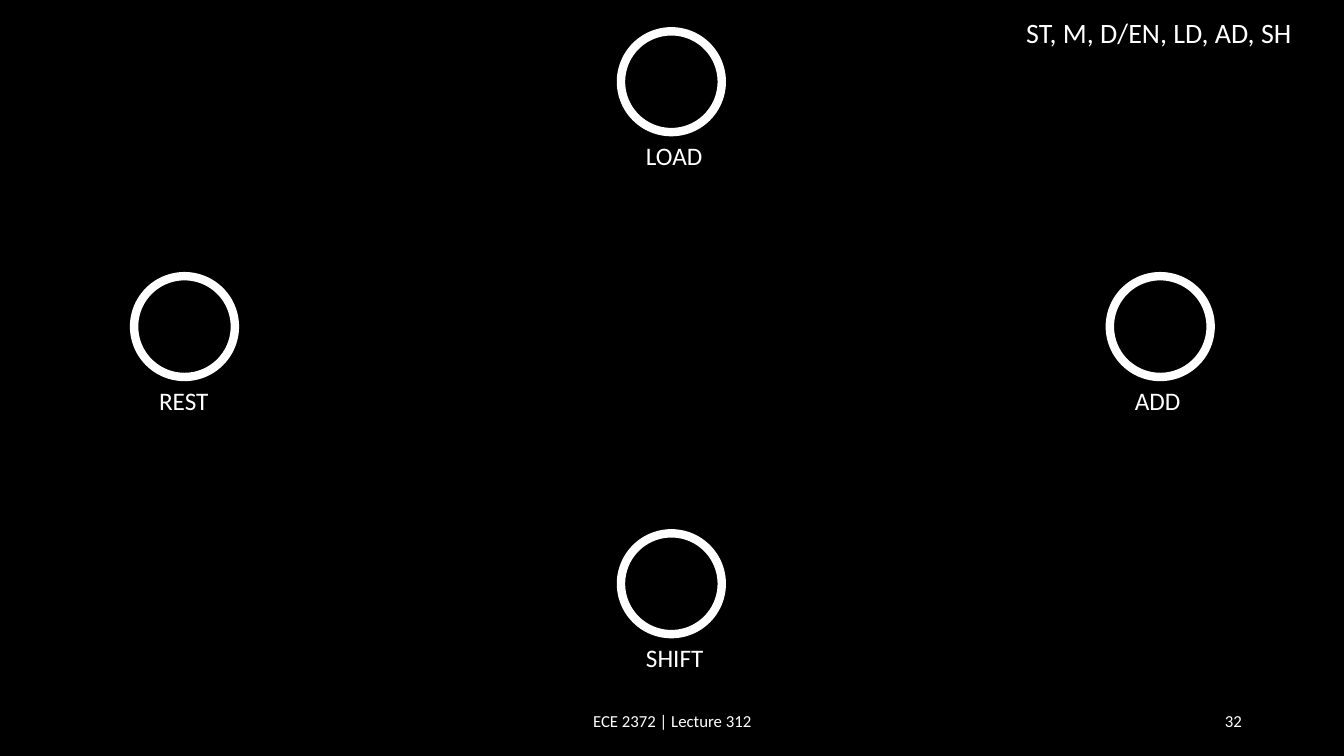
from pptx import Presentation
from pptx import util as u
from pptx.dml import color
from pptx.enum import shapes, text

COLORS = {"background": "000000", "foreground": "FFFFFF"}
DIAMETER = 2.54
WHITE = color.RGBColor.from_string(COLORS["foreground"])


def add_label(parent, words, left, top, width, height, size,
              align=text.PP_ALIGN.LEFT, anchor=text.MSO_ANCHOR.TOP, wrap=False):
    box = parent.add_textbox(u.Cm(left), u.Cm(top), u.Cm(width), u.Cm(height))
    frame = box.text_frame
    frame.word_wrap = wrap
    frame.vertical_anchor = anchor
    if not wrap:
        frame.auto_size = text.MSO_AUTO_SIZE.SHAPE_TO_FIT_TEXT
    paragraph = frame.paragraphs[0]
    paragraph.alignment = align
    run = paragraph.add_run()
    run.text = words
    run.font.name = "Calibri"
    run.font.size = u.Pt(size)
    run.font.color.rgb = WHITE
    return frame


presentation = Presentation()
presentation.slide_width = u.Cm(33.87)
presentation.slide_height = u.Cm(19.05)
slide = presentation.slides.add_slide(presentation.slide_layouts[6])
slide.background.fill.solid()
slide.background.fill.fore_color.rgb = color.RGBColor.from_string(COLORS["background"])

footers = [
    ("ECE 2372 | Lecture 312", 11.23, 11.43, text.PP_ALIGN.CENTER),
    ("32", 23.93, 7.62, text.PP_ALIGN.RIGHT),
]
for words, left, width, align in footers:
    add_label(slide.shapes, words, left, 17.65, width, 1.02, 12,
              align, text.MSO_ANCHOR.MIDDLE, True)

states = [
    ("REST", 3.38, 6.96, 1.78),
    ("ADD", 27.97, 6.96, 1.68),
    ("SHIFT", 15.65, 13.44, 1.98),
    ("LOAD", 15.65, 0.79, 1.96),
]
for name, left, top, label_width in states:
    state = slide.shapes.add_group_shape()
    circle = state.shapes.add_shape(shapes.MSO_SHAPE.OVAL, u.Cm(left), u.Cm(top),
                                    u.Cm(DIAMETER), u.Cm(DIAMETER))
    circle.shadow.inherit = False
    circle.fill.background()
    circle.line.color.rgb = WHITE
    circle.line.width = u.Pt(6)
    add_label(state.shapes, name, left + 0.38, top + 2.62, label_width, 1.02, 18)

signals = add_label(slide.shapes, "ST, M, D/EN, LD, AD, SH", 25.86, 0.38, 6.73, 0.86, 20)
signals.margin_left = signals.margin_right = u.Cm(0)
signals.margin_top = signals.margin_bottom = u.Cm(0)

presentation.save("out.pptx")
